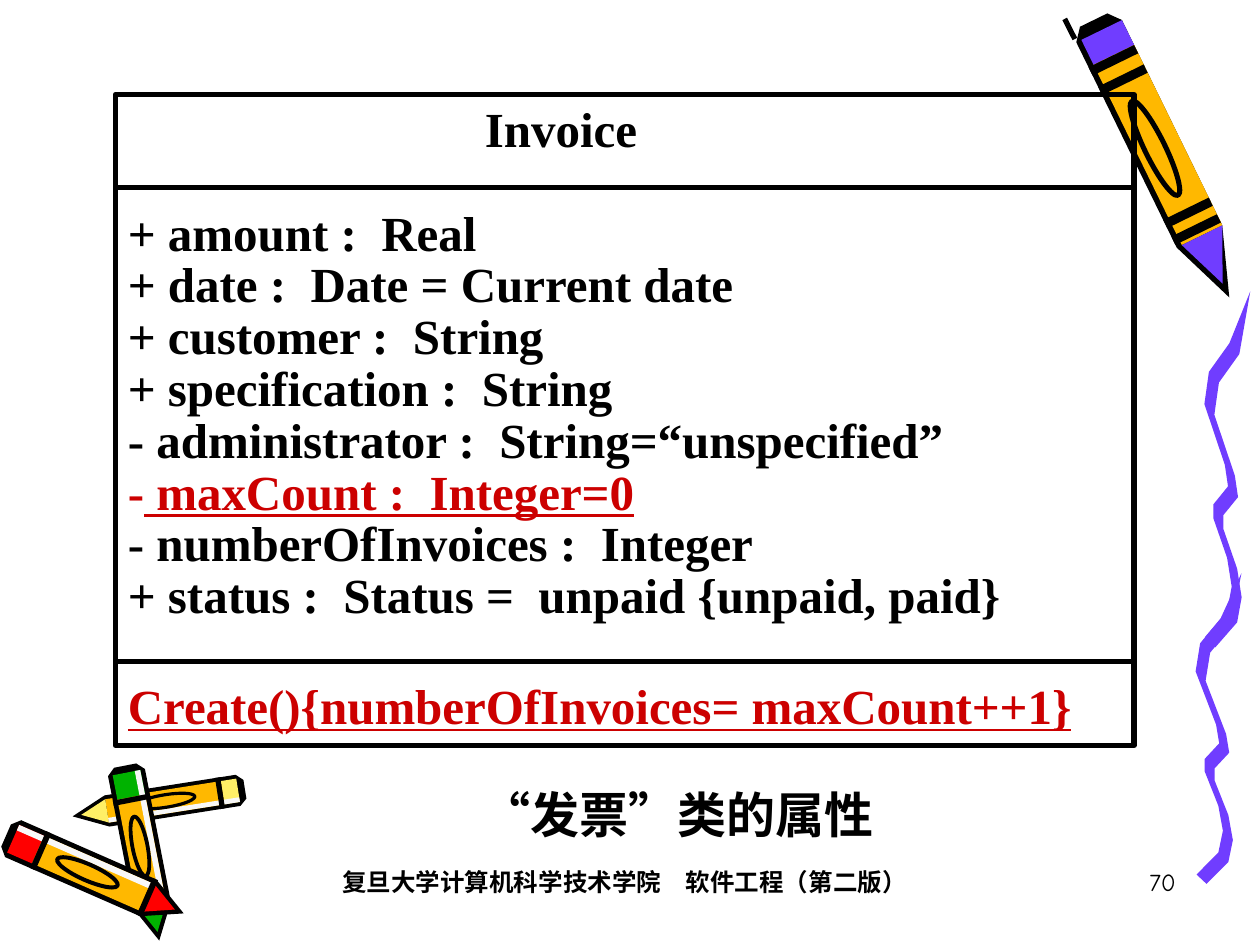
from dataclasses import dataclass
from math import atan2, degrees, hypot
from typing import Optional

from lxml.etree import SubElement
from pptx import Presentation
from pptx.dml.color import RGBColor
from pptx.enum.shapes import MSO_CONNECTOR as Connector, MSO_SHAPE as Preset
from pptx.enum.text import MSO_ANCHOR as Anchor, PP_ALIGN as Align
from pptx.oxml.ns import qn
from pptx.util import Pt

Point = tuple[float, float]
Box = tuple[float, float, float, float]

COLORS = {
    "black": "000000", "white": "F8F8F8", "purple": "703DFF", "orange": "FFB800",
    "yellow": "FFEF66", "red": "FF0000", "green": "00B200", "member": "CC0000",
}
SERIF, ROUND = "Times New Roman", "Comic Neue"
LINE_WIDTH = 3
LINE_PITCH = 29.6
CLASS_BOX = (66, 54, 582, 372)
DIVIDER_HEIGHTS = (107.3, 378)


@dataclass
class Crayon:
    tail: Point
    tip: Point
    width: float
    color: str
    bands: tuple[float, ...] = (0.18,)
    shoulder: float = 0.8
    paint: Point = (-0.75, 0.75)
    highlight: bool = True

    @property
    def length(self) -> float:
        return hypot(self.tip[0] - self.tail[0], self.tip[1] - self.tail[1])

    @property
    def angle(self) -> float:
        return degrees(atan2(self.tip[1] - self.tail[1], self.tip[0] - self.tail[0]))

    def place(self, along: float, across: float) -> Point:
        run, rise = self.tip[0] - self.tail[0], self.tip[1] - self.tail[1]
        offset = across * self.width / 2 / self.length
        return (self.tail[0] + along * run - offset * rise,
                self.tail[1] + along * rise + offset * run)


@dataclass
class Member:
    text: str
    plain_prefix: str = ""
    color: str = "black"
    underline: bool = False
    before: float = 0
    indent: float = 0


@dataclass
class Label:
    text: str
    box: Box
    size: float
    font: str
    align: Align
    bold: bool = True
    anchor: Anchor = Anchor.TOP
    spacing: Optional[float] = None


BIG_CRAYON = Crayon((625, 11.5), (702.5, 170), 29, "purple", bands=(0.13, 0.2, 0.68, 0.74),
                    shoulder=0.78, paint=(-1, 0.78), highlight=False)
SMALL_CRAYONS = [
    Crayon((140, 451), (41.5, 466.5), 18, "yellow", bands=(0.13,)),
    Crayon((71.5, 437.5), (91, 537.5), 21.5, "green"),
    Crayon((3.5, 477.5), (105, 522), 23, "red", bands=(0.18, 0.78)),
]

WAVE_SPINE = [(1, 0), (0.65, 0.16), (0.2, 0.24), (0.1, 0.33), (0.55, 0.5), (0.62, 0.56),
              (0.3, 0.61), (0.3, 0.65), (0.6, 0.76), (0.7, 0.84), (0.6, 0.91), (0.12, 0.98)]
WAVE_HALF_WIDTH, WAVE_HALF_DROP = 0.11, 0.015
WAVE_BOXES = [(683.5, 327.5, 26, 178.5), (688.5, 166.5, 26, 204.5)]

MEMBERS = [
    Member("Invoice", indent=204),
    Member("+ amount :  Real", before=LINE_PITCH),
    Member("+ date :  Date = Current date"),
    Member("+ customer :  String"),
    Member("+ specification :  String"),
    Member("- administrator :  String=“unspecified”"),
    Member(" maxCount :  Integer=0", plain_prefix="-", color="member", underline=True),
    Member("- numberOfInvoices :  Integer"),
    Member("+ status :  Status =  unpaid {unpaid, paid}"),
    Member("Create(){numberOfInvoices= maxCount++1}", color="member", underline=True, before=33.7),
]

FOOTER = Label("复旦大学计算机科学技术学院　软件工程（第二版）", (144, 492, 426, 36), 14, ROUND, Align.CENTER)
CAPTION = Label("“发票”类的属性", (198, 444, 378, 47), 28, SERIF, Align.CENTER,
                anchor=Anchor.MIDDLE, spacing=0.88)
PAGE_NUMBER = Label("70", (529, 492, 150, 36), 14, ROUND, Align.RIGHT, bold=False)


def rgb(name: str) -> RGBColor:
    return RGBColor.from_string(COLORS[name])


def style_font(font, name: str, size: float, color: str, bold: bool) -> None:
    font.name, font.size, font.bold = name, Pt(size), bold
    font.color.rgb = rgb(color)


def draw_polygon(slide, points: list[Point], color: str) -> None:
    corners = [(Pt(x), Pt(y)) for x, y in points]
    builder = slide.shapes.build_freeform(*corners[0], scale=1.0)
    builder.add_line_segments(corners[1:], close=True)
    shape = builder.convert_to_shape()
    shape.shadow.inherit = False
    shape.fill.solid()
    shape.fill.fore_color.rgb = rgb(color)
    shape.line.fill.background()


def draw_framed(slide, preset: Preset, box: Box, line_width: float):
    shape = slide.shapes.add_shape(preset, *map(Pt, box))
    shape.shadow.inherit = False
    shape.fill.background()
    shape.line.color.rgb = rgb("black")
    shape.line.width = Pt(line_width)
    return shape


def draw_line(slide, start: Point, end: Point) -> None:
    connector = slide.shapes.add_connector(Connector.STRAIGHT, *map(Pt, start), *map(Pt, end))
    connector.line.color.rgb = rgb("black")
    connector.line.width = Pt(LINE_WIDTH)
    SubElement(connector._element.spPr, qn("a:effectLst"))


def draw_crayon(slide, crayon: Crayon) -> None:
    low, high = crayon.paint
    shoulder, cap_end = crayon.shoulder, crayon.bands[0]

    def polygon(color: str, *corners: Point) -> None:
        draw_polygon(slide, [crayon.place(*corner) for corner in corners], color)

    def strip(color: str, start: float, end: float, near: float, far: float) -> None:
        polygon(color, (start, near), (end, near), (end, far), (start, far))

    polygon("black", (0, -0.6), (0.04, -1), (shoulder, -1), (1, 0),
            (shoulder, 1), (0.04, 1), (0, 0.6))
    strip(crayon.color, 0.04, cap_end, low, high)
    strip("orange", cap_end, shoulder, low, high)
    polygon(crayon.color, (shoulder, low), (0.95, 0), (shoulder, high))
    if crayon.highlight:
        strip("white", 0.04, shoulder, low, low + 0.3)
    for band in crayon.bands:
        strip("black", band, band + 0.03, -1, 1)

    center_x, center_y = crayon.place(0.46, 0.05)
    length, width = crayon.length * 0.34, crayon.width * 0.4
    label = draw_framed(slide, Preset.OVAL, (center_x - length / 2, center_y - width / 2,
                                             length, width), crayon.width / 10)
    label.rotation = crayon.angle


def draw_wave(slide, box: Box) -> None:
    left, top, width, height = box

    def edge(side: int) -> list[Point]:
        return [(left + width * (x + side * WAVE_HALF_WIDTH),
                 top + height * (y + side * WAVE_HALF_DROP)) for x, y in WAVE_SPINE[1:]]

    start_x, start_y = WAVE_SPINE[0]
    start = (left + width * start_x, top + height * start_y)
    draw_polygon(slide, [start, *edge(1), *reversed(edge(-1))], "purple")


def draw_label(slide, label: Label) -> None:
    frame = slide.shapes.add_textbox(*map(Pt, label.box)).text_frame
    frame.word_wrap = True
    frame.vertical_anchor = label.anchor
    paragraph = frame.paragraphs[0]
    paragraph.text = label.text
    paragraph.alignment = label.align
    paragraph.line_spacing = label.spacing
    style_font(paragraph.font, label.font, label.size, "black", label.bold)


def write_member(paragraph, member: Member) -> None:
    paragraph.alignment = Align.LEFT
    paragraph.line_spacing = Pt(LINE_PITCH)
    if member.before:
        paragraph.space_before = Pt(member.before)
    if member.indent:
        paragraph._p.get_or_add_pPr().set("marL", str(Pt(member.indent)))
    style_font(paragraph.font, SERIF, 28, member.color, True)
    if member.plain_prefix:
        paragraph.add_run().text = member.plain_prefix
    run = paragraph.add_run()
    run.text = member.text
    if member.underline:
        run.font.underline = True


def draw_class(slide) -> None:
    frame = draw_framed(slide, Preset.RECTANGLE, CLASS_BOX, LINE_WIDTH).text_frame
    frame.word_wrap = True
    frame.vertical_anchor = Anchor.MIDDLE
    for index, member in enumerate(MEMBERS):
        write_member(frame.add_paragraph() if index else frame.paragraphs[0], member)
    left, _, width, _ = CLASS_BOX
    for height in DIVIDER_HEIGHTS:
        draw_line(slide, (left, height), (left + width, height))


def main() -> None:
    presentation = Presentation()
    presentation.slide_width, presentation.slide_height = Pt(720), Pt(540)
    slide = presentation.slides.add_slide(presentation.slide_layouts[6])
    for crayon in SMALL_CRAYONS:
        draw_crayon(slide, crayon)
    for box in WAVE_BOXES:
        draw_wave(slide, box)
    draw_crayon(slide, BIG_CRAYON)
    draw_line(slide, (608.4, 10.8), (614.2, 22.3))
    for label in (FOOTER, CAPTION):
        draw_label(slide, label)
    draw_class(slide)
    draw_label(slide, PAGE_NUMBER)
    presentation.save("out.pptx")


if __name__ == "__main__":
    main()
